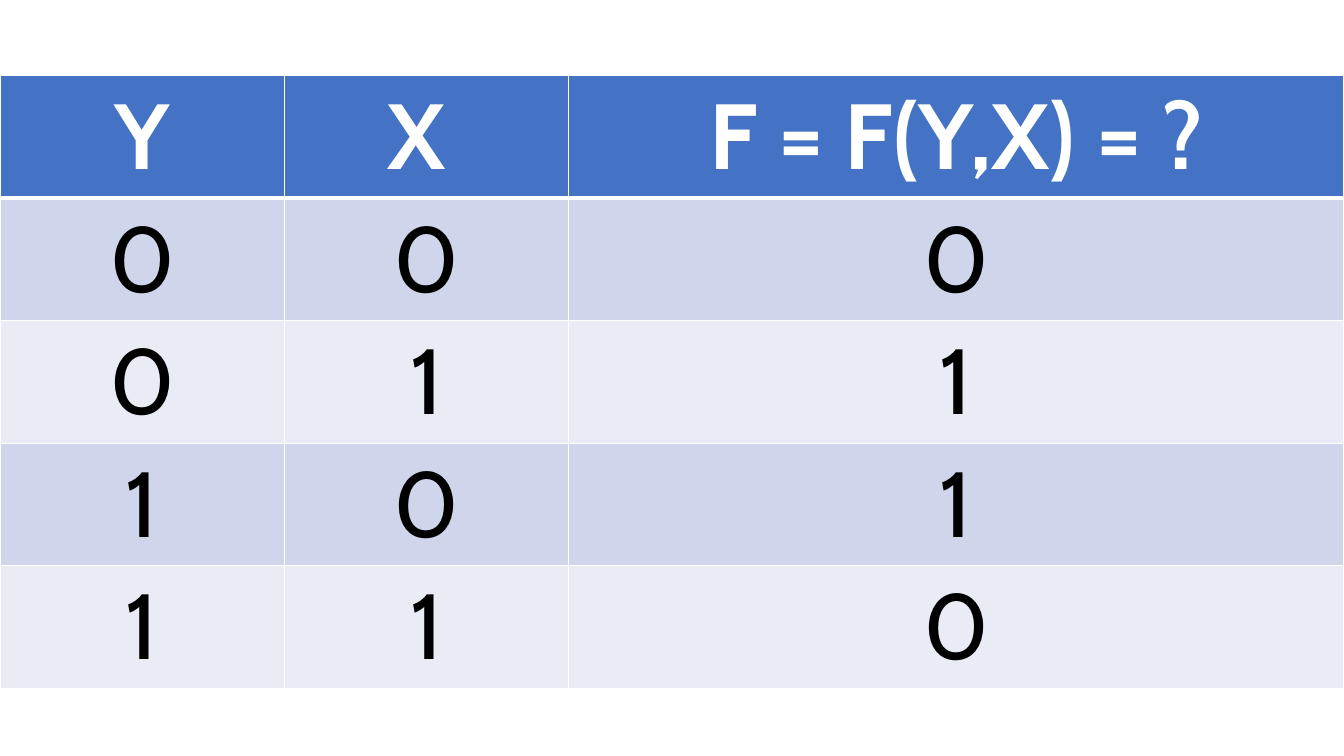
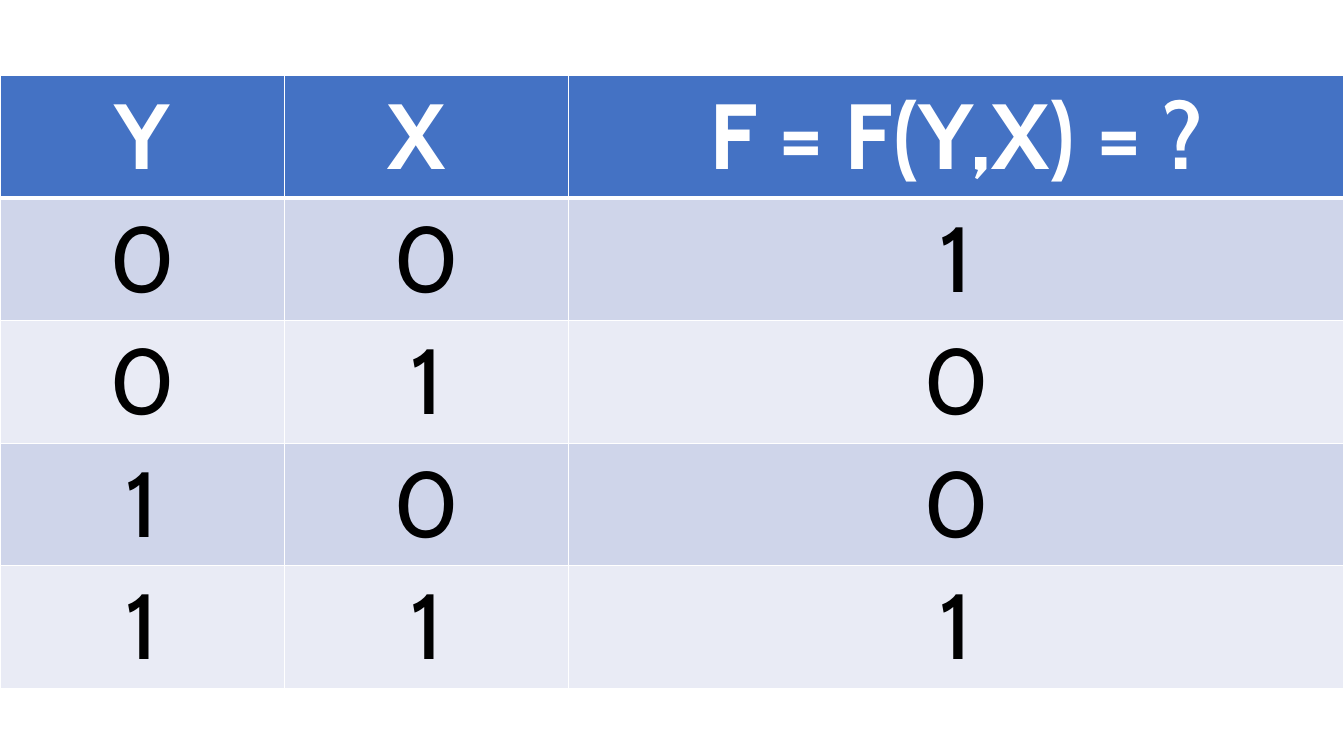
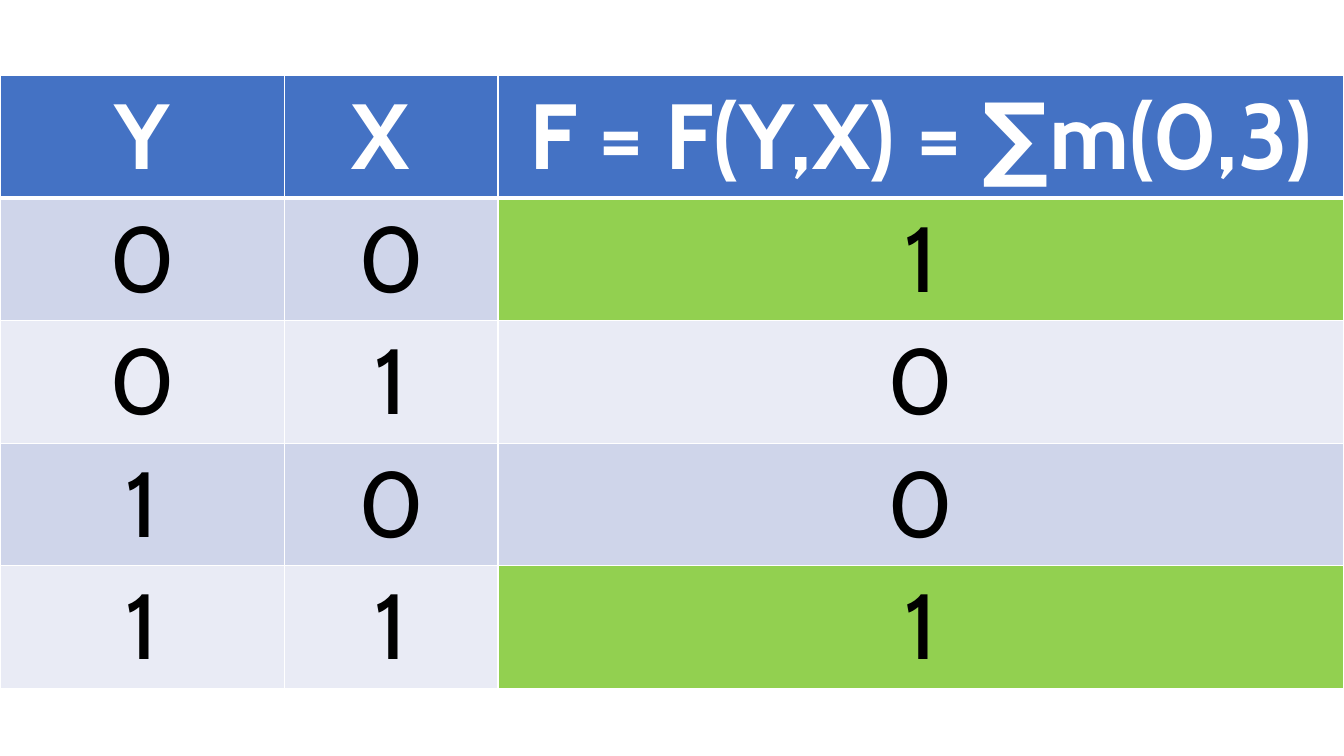
import itertools

import pptx
import pptx.dml.color
import pptx.enum.text
import pptx.oxml
import pptx.oxml.ns
import pptx.util

SLIDE_WIDTH, SLIDE_HEIGHT = 13.33, 7.5
FONT_NAME, FONT_SIZE = "Cabin", 66
ROW_HEIGHT = 1.21
BLANK_LAYOUT = 6
COLORS = {
    "header": "4472C4",
    "odd_row": "CFD5EA",
    "even_row": "E9EBF5",
    "minterm": "92D050",
    "header_text": "FFFFFF",
    "body_text": "000000",
    "border": "FFFFFF",
}
THIN, THICK = 1, 3


def rgb(name):
    return pptx.dml.color.RGBColor.from_string(COLORS[name])


def set_borders(cell, top, bottom):
    """Draw the four edges; the side edges are always thin."""
    properties = cell._tc.get_or_add_tcPr()
    widths = {"lnL": THIN, "lnR": THIN, "lnT": top, "lnB": bottom}
    for tag, points in widths.items():
        properties.append(pptx.oxml.parse_xml(
            f'<a:{tag} {pptx.oxml.ns.nsdecls("a")} w="{pptx.util.Pt(points)}">'
            f'<a:solidFill><a:srgbClr val="{COLORS["border"]}"/></a:solidFill>'
            f'</a:{tag}>'))


def format_cell(cell, text, row, fill):
    is_header = row == 0
    set_borders(cell, THICK if row == 1 else THIN, THICK if is_header else THIN)
    cell.fill.solid()
    cell.fill.fore_color.rgb = rgb(fill)
    cell.text = text
    paragraph = cell.text_frame.paragraphs[0]
    paragraph.alignment = pptx.enum.text.PP_ALIGN.CENTER
    paragraph.font.name = FONT_NAME
    paragraph.font.size = pptx.util.Pt(FONT_SIZE)
    paragraph.font.bold = is_header
    paragraph.font.color.rgb = rgb("header_text" if is_header else "body_text")


def row_fill(row):
    if row == 0:
        return "header"
    return "odd_row" if row % 2 else "even_row"


def add_truth_table(slide, box, formula, minterms, x_width, highlight):
    """Tabulate F over Y and X, with F = 1 on the rows listed in minterms."""
    left, top, width, height = (pptx.util.Inches(length) for length in box)
    rows = [("Y", "X ", formula)]
    for index, inputs in enumerate(itertools.product((0, 1), repeat=2)):
        rows.append(tuple(map(str, (*inputs, int(index in minterms)))))

    table = slide.shapes.add_table(
        len(rows), len(rows[0]), left, top, width, height).table
    y_width = 2.82
    column_widths = (y_width, x_width, box[2] - y_width - x_width)
    for column, column_width in zip(table.columns, column_widths):
        column.width = pptx.util.Inches(column_width)

    for row, texts in enumerate(rows):
        for column, text in enumerate(texts):
            is_result = column == len(texts) - 1
            marked = highlight and is_result and row - 1 in minterms
            fill = "minterm" if marked else row_fill(row)
            format_cell(table.cell(row, column), text, row, fill)


def main():
    presentation = pptx.Presentation()
    presentation.slide_width = pptx.util.Inches(SLIDE_WIDTH)
    presentation.slide_height = pptx.util.Inches(SLIDE_HEIGHT)
    table_box = (0, SLIDE_HEIGHT / 10, SLIDE_WIDTH, 5 * ROW_HEIGHT)
    truth_tables = [
        ("F = F(Y,X) = ?", {1, 2}, 2.82, False),
        ("F = F(Y,X) = ?", {0, 3}, 2.82, False),
        ("F = F(Y,X) = ∑m(0,3)", {0, 3}, 2.12, True),
    ]
    for truth_table in truth_tables:
        slide = presentation.slides.add_slide(
            presentation.slide_layouts[BLANK_LAYOUT])
        add_truth_table(slide, table_box, *truth_table)
    presentation.save("out.pptx")


if __name__ == "__main__":
    main()
